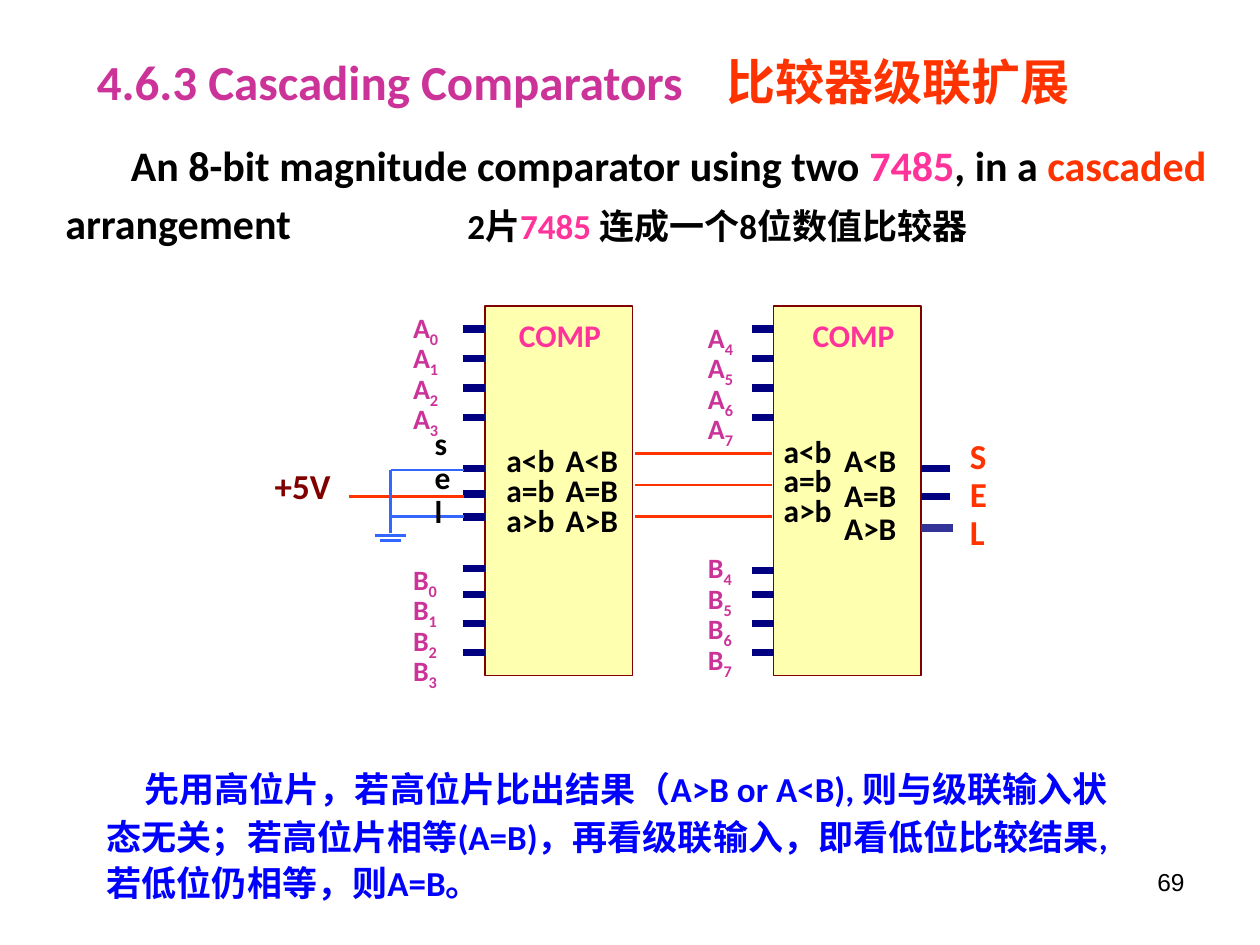
import pptx
import pptx.util
import pptx.dml.color
import pptx.enum.shapes
import pptx.enum.text
from dataclasses import dataclass
from lxml import etree

COLS, ROWS = 100, 75    # grid of the slide
NS = "{http://schemas.openxmlformats.org/drawingml/2006/main}"


@dataclass(frozen=True)
class Theme:
    font: str = "Calibri"
    plain: str = "Arial"
    # colours
    black: str = "000000"
    plum: str = "CC3399"
    pink: str = "FF3399"
    red: str = "FF3300"
    brown: str = "800000"
    blue: str = "0000FF"
    sky: str = "3366FF"
    navy: str = "000080"
    dusk: str = "333399"
    cream: str = "FFFFB0"
    # type sizes
    title: int = 28
    lead: int = 24
    body: int = 20
    label: int = 18
    pin: int = 16
    page: int = 14


T = Theme()


def rgb(code):
    return pptx.dml.color.RGBColor.from_string(code)


def unit(count):
    return pptx.util.Inches(count * 10 / COLS)


def style(font, size=None, color=None):
    if size:
        font.size = pptx.util.Pt(size)
    if color:
        font.color.rgb = rgb(color)


def text(slide, spot, lines, size, color, space=None, tabs=(),
         inset=True, face=T.font, bold=True, align=None):
    """Each line is a list of runs: (words, colour, size, subscript)."""
    frame = slide.shapes.add_textbox(*map(unit, spot)).text_frame
    frame.word_wrap = True
    frame.auto_size = pptx.enum.text.MSO_AUTO_SIZE.SHAPE_TO_FIT_TEXT
    if not inset:
        frame.margin_left = frame.margin_right = 0
        frame.margin_top = frame.margin_bottom = 0
    for i, line in enumerate(lines):
        para = frame.add_paragraph() if i else frame.paragraphs[0]
        para.line_spacing = space
        para.alignment = align
        if tabs:
            stops = etree.SubElement(para._p.get_or_add_pPr(), NS + "tabLst")
            for stop in tabs:
                etree.SubElement(stops, NS + "tab", pos=str(unit(stop)),
                                 algn="l")
        para.font.name, para.font.bold = face, bold
        style(para.font, size, color)
        for words, tint, points, low in line:
            run = para.add_run()
            run.text = words
            style(run.font, points, tint)
            if low:
                run.font._element.set("baseline", "-25000")


def run(words, tint=None, points=None, low=False):
    return words, tint, points, low


def stack(slide, spot, words, size, color, **more):
    text(slide, spot, [[run(word)] for word in words], size, color, **more)


def wire(slide, start, end, color, width=1.5):
    link = slide.shapes.add_connector(
        pptx.enum.shapes.MSO_CONNECTOR.STRAIGHT,
        *map(unit, (*start, *end)))
    link.line.color.rgb = rgb(color)
    link.line.width = pptx.util.Pt(width)
    etree.SubElement(link._element.spPr, NS + "effectLst")


def pins(slide, left, rows, color=T.navy, length=1.75, width=4.25):
    for row in rows:
        wire(slide, (left, row), (left + length, row), color, width)


def names(slide, left, top, letter, first):
    lines = [[run(letter), run(str(n), low=True)]
             for n in range(first, first + 4)]
    text(slide, (left, top, 5.2, 9.5), lines, T.pin, T.plum, space=0.8)


def ports(slide, left, rows, words):
    for row, word in zip(rows, words):
        stack(slide, (left, row, 7.5, 4), [word], T.label, T.black)


def chip(slide, left, rows, head, ins, outs):
    box = slide.shapes.add_shape(pptx.enum.shapes.MSO_SHAPE.RECTANGLE,
                                 *map(unit, (left, 24.3, 11.7, 29.3)))
    box.shadow.inherit = False
    box.fill.solid()
    box.fill.fore_color.rgb = rgb(T.cream)
    box.line.color.rgb = rgb(T.brown)
    box.line.width = 0
    pins(slide, left - 1.75, rows)
    ports(slide, *ins, ("a<b", "a=b", "a>b"))
    ports(slide, *outs, ("A<B", "A=B", "A>B"))
    stack(slide, (head, 24.6, 10.2, 4), ["COMP"], T.label, T.pink)


def ground(slide):
    for row in (37.3, 41):
        wire(slide, (31, row), (36.8, row), T.sky)
    wire(slide, (31, 37.3), (31, 42.3), T.sky)
    for row, half in ((42.5, 1.25), (42.9, 0.8)):
        wire(slide, (31 - half, row), (31 + half, row), T.sky)


def prose(slide):
    text(slide, (6.7, 3.6, 83.3, 5.7),
         [[run("4.6.3 Cascading Comparators\t"),
           run("比较器级联扩展", T.red)]],
         T.title, T.plum, tabs=(50,))
    text(slide, (4.2, 10, 93.9, 10.3),
         [[run("\t", points=T.title),
           run("An 8-bit magnitude comparator using two "),
           run("7485", T.pink), run(", in a "), run("cascaded ", T.red),
           run("arrangement"), run("\t", points=T.title),
           run("2片", points=T.body), run("7485 ", T.pink, T.body),
           run("连成一个8位数值比较器", points=T.body)]],
         T.lead, T.black, tabs=(5.2, 31.9))
    text(slide, (7.5, 59.5, 82.7, 12.7),
         [[run("\t", points=T.lead),
           run("先用高位片，若高位片比出结果（A>B or A<B), 则与级联输入"
               "状态无关；若高位片相等(A=B)，再看级联输入，即看低位比较结果"
               ", 若低位仍相等，则A=B。")]],
         T.body, T.blue, space=1.1, tabs=(3,))
    stack(slide, (71.7, 68.3, 23.3, 5.2), ["69"], T.page, T.black,
          face=T.plain, bold=False, align=pptx.enum.text.PP_ALIGN.RIGHT)


def main():
    deck = pptx.Presentation()
    deck.slide_width, deck.slide_height = unit(COLS), unit(ROWS)
    slide = deck.slides.add_slide(deck.slide_layouts[6])
    prose(slide)

    # Low and high comparators
    upper = [26.1 + 2.35 * i for i in range(4)]
    lower = [47.2, 49.5, 51.8]
    even = (34.5, 36.9, 39.3)
    chip(slide, 38.5, [*upper, 37.2, 39.2, 41.05, 45.1, *lower], 40.2,
         (39.2, even), (43.9, even))
    chip(slide, 61.4, [*upper, 45.3, *lower], 63.5,
         (61.2, (33.8, 36.1, 38.5)), (66, (34.5, 37.3, 39.9)))
    pins(slide, 73.1, (37.2, 39.4), length=2.3)
    pins(slide, 73.1, (41.9,), T.dusk, 2.5, 4.5)

    # Input names
    for left, top, letter, first in ((31.8, 24.4, "A", 0), (55.2, 25.2, "A", 4),
                                     (55.2, 43.5, "B", 4), (31.8, 44.4, "B", 0)):
        names(slide, left, top, letter, first)

    # Supply, ground and cascade wires
    wire(slide, (27.7, 39.4), (36.8, 39.4), T.red)
    ground(slide)
    for row in (36, 38.5, 41):
        wire(slide, (50.4, row), (61.3, row), T.red)
    stack(slide, (21.8, 36.9, 5.5, 3.3), ["+5V"], T.body, T.brown,
          inset=False)

    # Select marks
    stack(slide, (33.5, 33.5, 3.2, 9.1), "sel", T.label, T.black, space=0.9)
    stack(slide, (76, 34.4, 3.3, 10), "SEL", T.body, T.red, space=0.9)

    deck.save("out.pptx")


if __name__ == "__main__":
    main()
